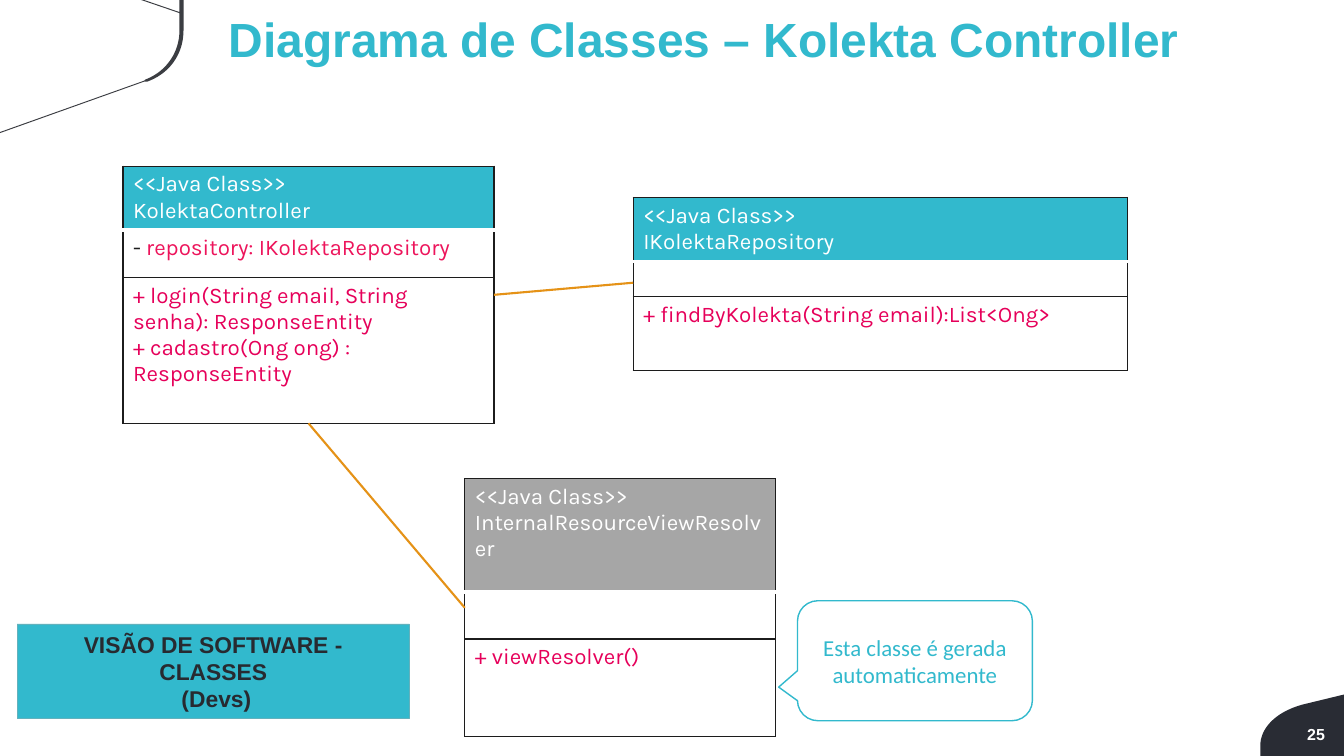
from lxml.etree import SubElement
from pptx import Presentation
from pptx.dml.color import RGBColor
from pptx.enum.shapes import MSO_CONNECTOR, MSO_SHAPE
from pptx.enum.text import MSO_ANCHOR, PP_ALIGN
from pptx.oxml.ns import qn
from pptx.util import Inches, Pt

TEAL, DARK, WHITE, GRAY = "32B9CD", "1C1C1C", "FFFFFF", "A6A6A6"
PINK, ROSE, ORANGE = "E6005A", "ED145B", "E59217"


def write(frame, text, size=16, color=WHITE, font="Karla", bold=False,
          align=PP_ALIGN.LEFT, lead=""):
    """Fill a text frame, one paragraph per line, with an optional dark lead."""
    frame.word_wrap = True
    for i, line in enumerate(text.split("\n")):
        para = frame.paragraphs[0] if i == 0 else frame.add_paragraph()
        para.alignment = align
        for part, tint in ((lead, DARK), (line, color)):
            if part:
                run = para.add_run()
                run.text = part
                run.font.size = Pt(size)
                run.font.name = font
                run.font.bold = bold
                run.font.color.rgb = RGBColor.from_string(tint)


def bend(start, pull, push, end, steps=24):
    """Return points along a cubic curve."""
    spots = []
    for i in range(steps + 1):
        t = i / steps
        mix = ((1 - t) ** 3, 3 * t * (1 - t) ** 2, 3 * t * t * (1 - t), t ** 3)
        spots.append(tuple(sum(m * p[axis] for m, p in zip(mix, (start, pull, push, end)))
                           for axis in (0, 1)))
    return spots


deck = Presentation()
deck.slide_width = Inches(13.33)
deck.slide_height = Inches(7.5)
slide = deck.slides.add_slide(deck.slide_layouts[6])
shapes = slide.shapes

# Corner ornaments
corner = [(13.33, 6.89)]
corner += bend((12.92, 6.99), (12.66, 7.06), (12.5, 7.22), (12.5, 7.4))
corner += [(12.5, 7.5), (13.33, 7.5)]
swoosh = [(0, 1.32), (1.43, 0.81)]
swoosh += bend((1.46, 0.81), (1.68, 0.73), (1.82, 0.54), (1.82, 0.3))
swoosh += [(1.82, 0), (1.78, 0), (1.78, 0.12), (1.43, 0), (1.4, 0), (1.78, 0.13)]
swoosh += bend((1.78, 0.3), (1.78, 0.52), (1.65, 0.71), (1.44, 0.79))
swoosh += [(1.43, 0.8), (0, 1.31)]
for points, color in ((corner, "292C34"), (swoosh, "3B3D42")):
    spots = [(Inches(x), Inches(y)) for x, y in points]
    pen = shapes.build_freeform(*spots[0])
    pen.add_line_segments(spots[1:], close=True)
    shape = pen.convert_to_shape()
    shape.shadow.inherit = False
    shape.fill.solid()
    shape.fill.fore_color.rgb = RGBColor.from_string(color)
    shape.line.fill.background()

# Page number and title
number = shapes.add_textbox(Inches(12.54), Inches(7.18), Inches(0.62), Inches(0.21))
frame = number.text_frame
frame.margin_left = frame.margin_right = Inches(0.02)
frame.margin_top = frame.margin_bottom = Inches(0.01)
write(frame, "25", size=11.4, font="Arial", bold=True, align=PP_ALIGN.RIGHT)

title = shapes.add_textbox(Inches(2.17), Inches(0.11), Inches(10.69), Inches(0.76))
write(title.text_frame, "Diagrama de Classes – Kolekta Controller",
      size=34.2, color=TEAL, font="Arial", bold=True)
title.text_frame.paragraphs[0].line_spacing = 0.9

# Classes: left, top, width, row heights, header fill, name, field, methods
classes = [
    (1.22, 1.65, 3.68, (0.63, 0.47, 1.45), TEAL, "KolektaController",
     "repository: IKolektaRepository",
     "+ login(String email, String senha): ResponseEntity\n"
     "+ cadastro(Ong ong) : ResponseEntity"),
    (6.28, 1.96, 4.9, (0.61, 0.35, 0.73), TEAL, "IKolektaRepository", "",
     "+ findByKolekta(String email):List<Ong>"),
    (4.61, 4.75, 3.08, (1.12, 0.47, 0.97), GRAY, "InternalResourceViewResolver", "",
     "+ viewResolver()"),
]
edges = [
    {"L": (DARK, 1), "R": (DARK, 1), "T": (DARK, 1), "B": (WHITE, 3)},
    {"L": (DARK, 1), "R": (DARK, 1), "T": (WHITE, 1), "B": (DARK, 1)},
    {"L": (DARK, 1), "R": (DARK, 1), "T": (DARK, 1), "B": (DARK, 1)},
]
boxes = []
for left, top, width, rows, fill, name, field, methods in classes:
    box = shapes.add_table(3, 1, Inches(left), Inches(top), Inches(width),
                           Inches(sum(rows)))
    boxes.append(box)
    table = box.table
    table.first_row = table.horz_banding = False
    for i, height in enumerate(rows):
        table.rows[i].height = Inches(height)
        cell = table.cell(i, 0)
        props = cell._tc.get_or_add_tcPr()
        for side, (color, weight) in edges[i].items():
            line = SubElement(props, qn("a:ln" + side), w=str(Pt(weight)))
            SubElement(SubElement(line, qn("a:solidFill")), qn("a:srgbClr"), val=color)
        cell.fill.background()
    head, middle, foot = (table.cell(i, 0) for i in range(3))
    head.fill.solid()
    head.fill.fore_color.rgb = RGBColor.from_string(fill)
    write(head.text_frame, "<<Java Class>>\n" + name)
    if field:
        write(middle.text_frame, field, color=ROSE, lead="- ")
    else:
        middle.text_frame.paragraphs[0].font.size = Pt(12)
    write(foot.text_frame, methods, color=PINK)

# Links from the controller: side it leaves, class it reaches
control, store, view = boxes
for side, target in ((3, store), (2, view)):
    link = shapes.add_connector(MSO_CONNECTOR.STRAIGHT, 0, 0, 0, 0)
    link.begin_connect(control, side)
    link.end_connect(target, 1)
    link.line.color.rgb = RGBColor.from_string(ORANGE)
    link.line.width = Pt(1.5)
    SubElement(link._element.spPr, qn("a:effectLst"))

# Callout and view label
note = shapes.add_shape(MSO_SHAPE.ROUNDED_RECTANGULAR_CALLOUT,
                        Inches(7.91), Inches(5.96), Inches(2.33), Inches(1.19))
for i, value in enumerate((-0.58, 0.22, 0.17)):
    note.adjustments[i] = value
note.fill.background()
label = shapes.add_shape(MSO_SHAPE.RECTANGLE,
                         Inches(0.17), Inches(6.19), Inches(3.89), Inches(0.94))
label.fill.solid()
label.fill.fore_color.rgb = RGBColor.from_string(TEAL)
for shape, color, weight in ((note, TEAL, 1), (label, "63B1BC", 0.5)):
    shape.shadow.inherit = False
    shape.line.color.rgb = RGBColor.from_string(color)
    shape.line.width = Pt(weight)
    shape.text_frame.vertical_anchor = MSO_ANCHOR.MIDDLE
write(note.text_frame, "Esta classe é gerada automaticamente",
      size=16.3, color=TEAL, font="Calibri", align=PP_ALIGN.CENTER)
write(label.text_frame, "VISÃO DE SOFTWARE - CLASSES\n (Devs)",
      size=16.3, color="272A30", font="Arial", bold=True, align=PP_ALIGN.CENTER)

deck.save("out.pptx")
